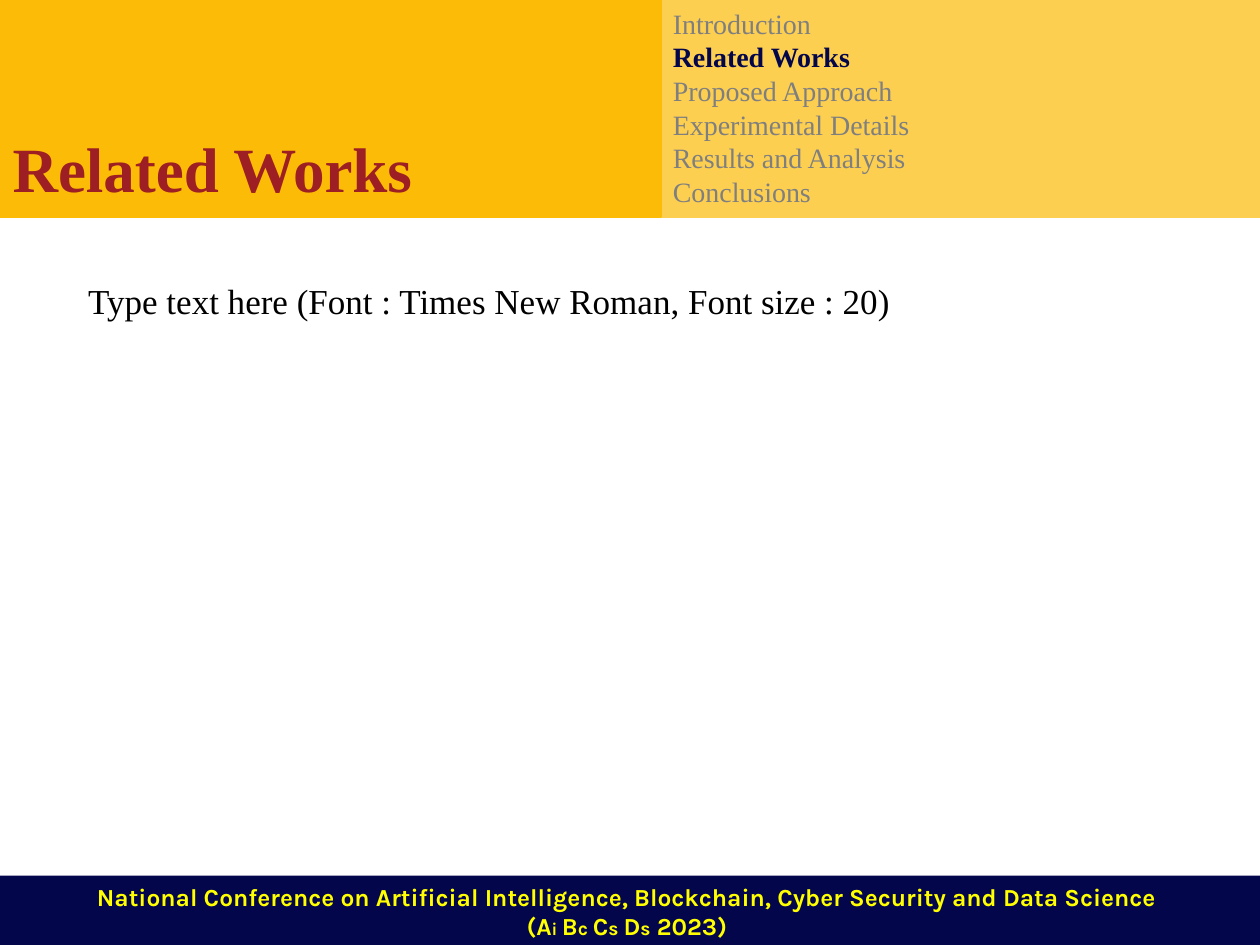
"""Build the Related Works section slide with its agenda and conference footer."""
import pptx
import pptx.dml.color
import pptx.enum.shapes
import pptx.enum.text
import pptx.oxml
import pptx.util

Inches = pptx.util.Inches
ALIGN = pptx.enum.text.PP_ALIGN

THEME = {
    "serif": "Times New Roman", "sans": "Karla",
    "gold": "FCBB06", "pale_gold": "FDCF51", "navy": "04064C",
    "red": "9D1E23", "grey": "7F7F7F", "black": "000000", "yellow": "FFFF00",
    "title": 36, "body": 20, "agenda": 16, "footer": 14, "small": 11, "smallest": 10,
}

CURRENT = "Related Works"
AGENDA = ["Introduction", "Related Works", "Proposed Approach",
          "Experimental Details", "Results and Analysis", "Conclusions"]
BODY = "Type text here (Font : Times New Roman, Font size : 20)"
FOOTER = [
    [("National Conference on Artificial Intelligence, Blockchain, "
      "Cyber Security and Data Science ", "footer")],
    [("(A", "footer"), ("i ", "smallest"), ("B", "footer"), ("c ", "small"),
     ("C", "footer"), ("s ", "small"), ("D", "footer"), ("s", "small"),
     (" 2023) ", "footer")],
]

SPLIT = 5.24
HEADER_HEIGHT = 1.72


def color(name):
    return pptx.dml.color.RGBColor.from_string(THEME[name])


def place(shape, left, top, width, height):
    shape.left, shape.top = Inches(left), Inches(top)
    shape.width, shape.height = Inches(width), Inches(height)


def add_panel(slide, left, top, width, height, fill, outlined=True):
    panel = slide.shapes.add_shape(
        pptx.enum.shapes.MSO_SHAPE.RECTANGLE,
        Inches(left), Inches(top), Inches(width), Inches(height))
    panel.shadow.inherit = False
    panel.fill.solid()
    panel.fill.fore_color.rgb = color(fill)
    if outlined:
        panel.line.color.rgb = color(fill)
        panel.line.width = pptx.util.Pt(2)
    else:
        panel.line.fill.background()
    return panel


def write_span(para, text, *, size, ink, font="serif", bold=False):
    span = para.add_run()
    span.text = text
    span.font.name = THEME[font]
    span.font.size = pptx.util.Pt(THEME[size])
    span.font.bold = bold
    span.font.color.rgb = color(ink)


def write_lines(shape, lines, align=ALIGN.LEFT, wrap=True):
    """Write lines, each a list of (text, format) spans, without bullets."""
    frame = shape.text_frame
    frame.word_wrap = wrap
    frame.auto_size = pptx.enum.text.MSO_AUTO_SIZE.NONE
    frame.vertical_anchor = pptx.enum.text.MSO_ANCHOR.TOP
    for index, spans in enumerate(lines):
        para = frame.add_paragraph() if index else frame.paragraphs[0]
        para.alignment = align
        para.space_before = pptx.util.Pt(0)
        properties = para._p.get_or_add_pPr()
        properties.set("marL", "0")
        properties.set("indent", "0")
        properties.append(pptx.oxml.parse_xml(
            '<a:buNone xmlns:a="http://schemas.openxmlformats.org/drawingml/2006/main"/>'))
        for text, style in spans:
            write_span(para, text, **style)


def main():
    deck = pptx.Presentation()
    deck.slide_width, deck.slide_height = Inches(10), Inches(7.5)
    page = deck.slides.add_slide(deck.slide_layouts.get_by_name("Two Content"))
    title = page.shapes.title
    agenda, body = page.placeholders[1], page.placeholders[2]
    for extra in list(page.placeholders)[3:]:
        extra.element.getparent().remove(extra.element)

    agenda_panel = add_panel(page, 5.25, 0, 4.75, HEADER_HEIGHT, "pale_gold")
    title_panel = add_panel(page, 0, 0, SPLIT, HEADER_HEIGHT, "gold")
    for panel in (agenda_panel, title_panel):
        title.element.addprevious(panel.element)

    place(agenda, SPLIT, 0, 3.67, 1.7)
    plain = {"size": "agenda", "ink": "grey"}
    active = {"size": "agenda", "ink": "navy", "bold": True}
    write_lines(agenda, [[(item, active if item == CURRENT else plain)]
                         for item in AGENDA])

    place(title, 0, 0.98, SPLIT, 0.7)
    write_lines(title, [[(CURRENT, {"size": "title", "ink": "red", "bold": True})]])

    place(body, 0.6, 2.17, 6.6, 0.44)
    write_lines(body, [[(BODY, {"size": "body", "ink": "black"})]], wrap=False)

    footer = add_panel(page, 0, 6.95, 10, 0.57, "navy", outlined=False)
    bold_sans = {"ink": "yellow", "font": "sans", "bold": True}
    write_lines(footer, [[(text, {"size": size, **bold_sans}) for text, size in line]
                         for line in FOOTER], align=ALIGN.CENTER)

    deck.save("out.pptx")


if __name__ == "__main__":
    main()
